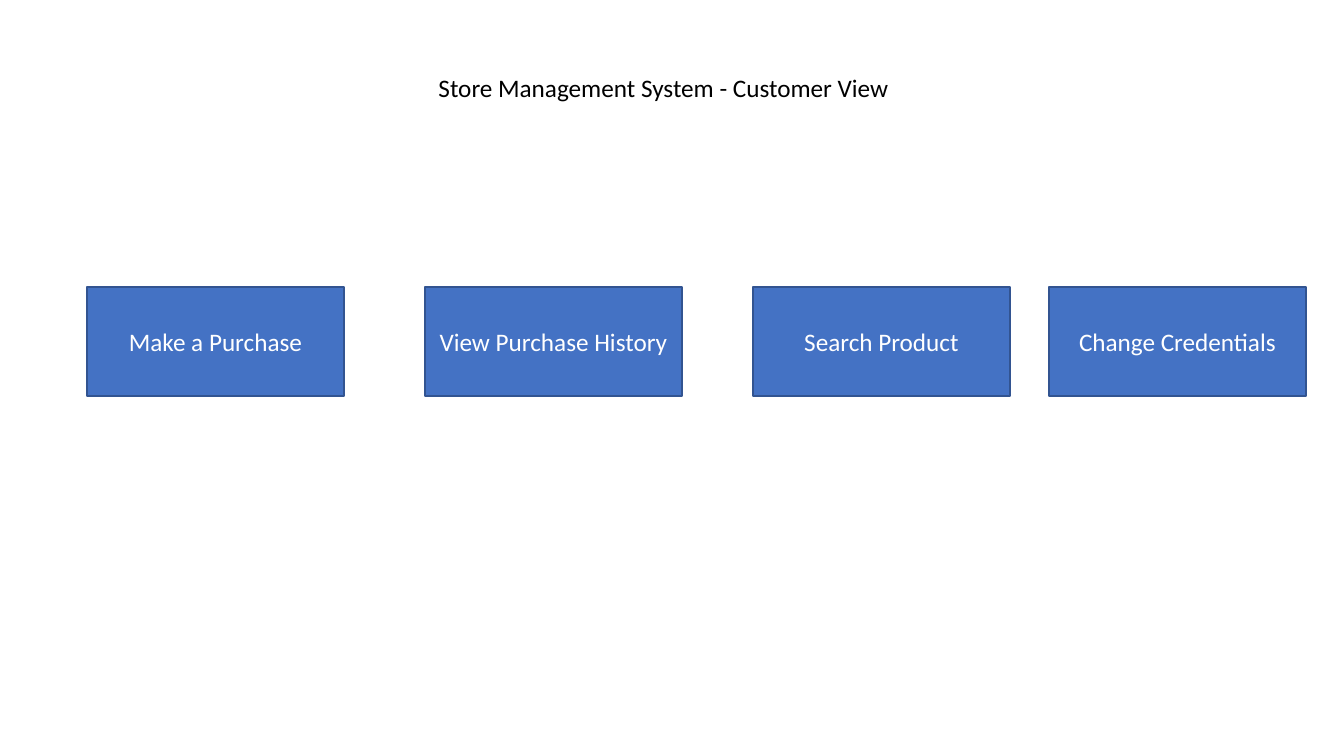
import dataclasses
import pptx
import pptx.util
import pptx.dml.color
import pptx.enum.shapes
import pptx.enum.text

SCALE = 914400 / 100.8


@dataclasses.dataclass(frozen=True)
class Theme:
    font: str = "Calibri"
    size: int = 18
    ink: str = "000000"
    pale: str = "FFFFFF"
    fill: str = "4472C4"
    edge: str = "325491"
    line: int = 1


theme = Theme()


def emu(*sizes):
    return [pptx.util.Emu(round(size * SCALE)) for size in sizes]


def tint(code):
    return pptx.dml.color.RGBColor.from_string(code)


def write(shape, text, color=theme.ink, size=theme.size, anchor="MIDDLE"):
    frame = shape.text_frame
    frame.word_wrap = True
    frame.auto_size = pptx.enum.text.MSO_AUTO_SIZE.NONE
    frame.vertical_anchor = pptx.enum.text.MSO_ANCHOR[anchor]
    frame.text = text
    para = frame.paragraphs[0]
    para.alignment = pptx.enum.text.PP_ALIGN.CENTER
    para.line_spacing = 1.0
    para.space_before = pptx.util.Pt(0)
    font = para.runs[0].font
    font.name = theme.font
    font.size = pptx.util.Pt(size)
    font.color.rgb = tint(color)


def header(slide, box, text):
    title = slide.shapes.title
    title.left, title.top, title.width, title.height = emu(*box)
    write(title, text, anchor="TOP")


def button(slide, box, text):
    shape = slide.shapes.add_shape(
        pptx.enum.shapes.MSO_SHAPE.RECTANGLE, *emu(*box))
    shape.shadow.inherit = False
    shape.fill.solid()
    shape.fill.fore_color.rgb = tint(theme.fill)
    shape.line.color.rgb = tint(theme.edge)
    shape.line.width = pptx.util.Pt(theme.line)
    write(shape, text, color=theme.pale)


def menu(slide, box, items, width):
    left, top, _, height = box
    for shift, text in items:
        button(slide, (left + shift, top, width, height), text)


deck = pptx.Presentation()
deck.slide_width, deck.slide_height = emu(1344, 756)
slide = deck.slides.add_slide(deck.slide_layouts.get_by_name("Title Only"))
header(slide, (416, 67, 495, 40), "Store Management System - Customer View")
menu(slide, (87, 287, 1219, 109), [
    (0, "Make a Purchase"),
    (338, "View Purchase History"),
    (666, "Search Product"),
    (962, "Change Credentials"),
], width=257)
deck.save("out.pptx")
